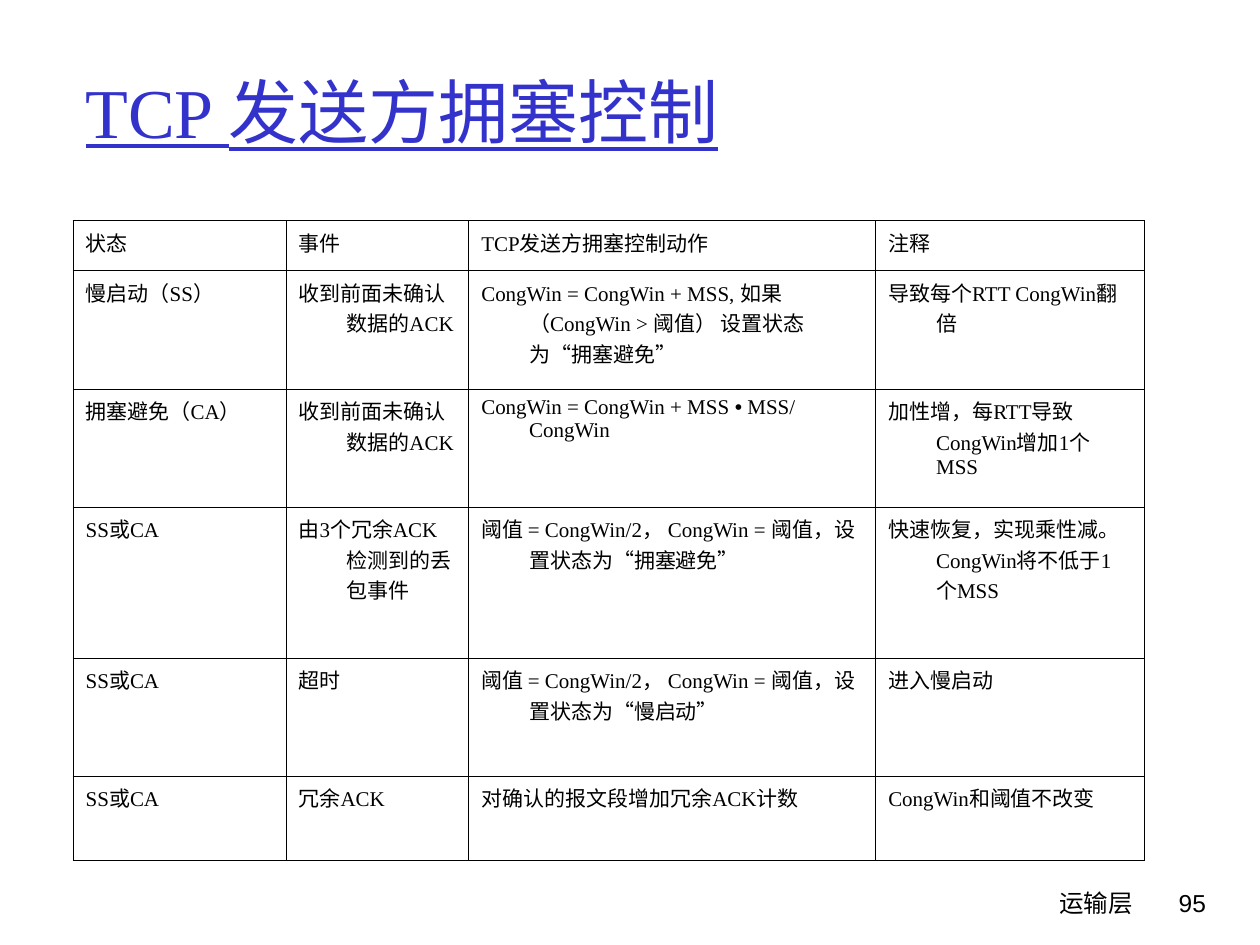
from dataclasses import dataclass

from lxml import etree
from pptx import Presentation
from pptx.dml.color import RGBColor
from pptx.enum.text import MSO_ANCHOR, MSO_AUTO_SIZE, PP_ALIGN
from pptx.oxml.ns import qn
from pptx.util import Inches, Pt

LEFT, RIGHT = PP_ALIGN.LEFT, PP_ALIGN.RIGHT
TOP, MIDDLE = MSO_ANCHOR.TOP, MSO_ANCHOR.MIDDLE
NO_AUTOFIT = MSO_AUTO_SIZE.NONE
TITLE_ONLY = 5


@dataclass(frozen=True)
class Theme:
    ink: str = "000000"
    heading: str = "3333CC"
    serif: str = "Times New Roman"
    sans: str = "Arial"
    footer_face: str = "Comic Neue"
    title_size: int = 40
    footer_size: int = 14
    table_size: int = 12
    border_width: float = 0.45


THEME = Theme()
TITLE_FORMAT = {"name": THEME.serif, "size": Pt(THEME.title_size),
                "underline": True, "bold": False}
TABLE_FORMAT = {"name": THEME.serif, "size": Pt(THEME.table_size), "bold": False}
FOOTER_FORMAT = {"name": THEME.footer_face, "size": Pt(THEME.footer_size)}
NUMBER_FORMAT = {"name": THEME.sans, "size": Pt(THEME.footer_size)}
MARGINS = {"margin_left": Inches(0.1), "margin_right": Inches(0.1),
           "margin_top": Inches(0.05), "margin_bottom": Inches(0.05)}

COLUMN_WIDTHS = [1.69, 1.45, 3.23, 2.13]
ROW_HEIGHTS = [0.4, 0.94, 0.94, 1.2, 0.94, 0.67]
HANGING_INDENT = Inches(0.38)
BULLET = "•"
CONGESTION_ACTIONS = [
    ["状态", "事件", "TCP发送方拥塞控制动作", "注释"],
    ["慢启动（SS）", "收到前面未确认数据的ACK",
     "CongWin = CongWin + MSS, 如果（CongWin > 阈值） 设置状态为“拥塞避免”",
     "导致每个RTT CongWin翻倍"],
    ["拥塞避免（CA）", "收到前面未确认数据的ACK",
     "CongWin = CongWin + MSS • MSS/ CongWin",
     "加性增，每RTT导致CongWin增加1个MSS"],
    ["SS或CA", "由3个冗余ACK检测到的丢包事件",
     "阈值 = CongWin/2， CongWin = 阈值，设置状态为“拥塞避免”",
     "快速恢复，实现乘性减。CongWin将不低于1个MSS"],
    ["SS或CA", "超时",
     "阈值 = CongWin/2， CongWin = 阈值，设置状态为“慢启动”",
     "进入慢启动"],
    ["SS或CA", "冗余ACK", "对确认的报文段增加冗余ACK计数",
     "CongWin和阈值不改变"],
]


def apply(target, values):
    for name, value in values.items():
        setattr(target, name, value)


def add_run(paragraph, text, font_format, color=THEME.ink):
    run = paragraph.add_run()
    run.text = text
    apply(run.font, font_format)
    run.font.color.rgb = RGBColor.from_string(color)


def place_title(slide, left, top, width, height):
    title = slide.shapes.title
    apply(title, {"left": left, "top": top, "width": width, "height": height})
    frame = title.text_frame
    apply(frame, {**MARGINS, "word_wrap": True, "auto_size": NO_AUTOFIT,
                  "vertical_anchor": MIDDLE})
    heading = frame.paragraphs[0]
    heading.alignment = LEFT
    add_run(heading, "TCP 发送方拥塞控制", TITLE_FORMAT, THEME.heading)


def border_cell(cell):
    """Draw the four edges; they must come before the fill."""
    properties = cell._tc.get_or_add_tcPr()
    for position, edge in enumerate(("a:lnL", "a:lnR", "a:lnT", "a:lnB")):
        line = etree.Element(qn(edge), w=str(int(Pt(THEME.border_width))))
        fill = etree.SubElement(line, qn("a:solidFill"))
        etree.SubElement(fill, qn("a:srgbClr"), val=THEME.ink)
        properties.insert(position, line)


def fill_cell(cell, text):
    apply(cell, {**MARGINS, "vertical_anchor": TOP})
    cell.fill.background()
    border_cell(cell)
    paragraph = cell.text_frame.paragraphs[0]
    indent = paragraph._p.get_or_add_pPr()
    indent.set("marL", str(HANGING_INDENT))
    indent.set("indent", str(-HANGING_INDENT))
    before, bullet, after = text.partition(BULLET)
    add_run(paragraph, before, TABLE_FORMAT)
    if bullet:
        add_run(paragraph, bullet, {**TABLE_FORMAT, "name": THEME.sans})
        add_run(paragraph, after, TABLE_FORMAT)


def place_actions_table(slide, left, top, width, height):
    table = slide.shapes.add_table(len(ROW_HEIGHTS), len(COLUMN_WIDTHS),
                                   left, top, width, height).table
    apply(table, {"first_row": False, "horz_banding": False})
    # Share the box out in proportion to the listed widths and heights
    for column, share in zip(table.columns, COLUMN_WIDTHS):
        column.width = int(width * share / sum(COLUMN_WIDTHS))
    for row, share, texts in zip(table.rows, ROW_HEIGHTS, CONGESTION_ACTIONS):
        row.height = int(height * share / sum(ROW_HEIGHTS))
        for cell, text in zip(row.cells, texts):
            fill_cell(cell, text)


def place_footer_text(slide, text, font_format, left, top, width, height):
    frame = slide.shapes.add_textbox(left, top, width, height).text_frame
    apply(frame, {**MARGINS, "word_wrap": True, "vertical_anchor": TOP})
    paragraph = frame.paragraphs[0]
    paragraph.alignment = RIGHT
    add_run(paragraph, text, font_format)


def main():
    deck = Presentation()
    apply(deck, {"slide_width": Inches(10), "slide_height": Inches(7.5)})
    slide = deck.slides.add_slide(deck.slide_layouts[TITLE_ONLY])
    left, width = Inches(0.58), Inches(8.5)

    # Chapter name and page number
    footer_top, footer_height = Inches(7), Inches(0.5)
    place_footer_text(slide, "运输层", FOOTER_FORMAT,
                      Inches(5.92), footer_top, Inches(3.17), footer_height)
    place_footer_text(slide, "95", NUMBER_FORMAT,
                      Inches(8.93), footer_top, Inches(0.74), footer_height)

    # Heading and the sender's actions
    place_title(slide, left, Inches(0.25), width, Inches(1.25))
    place_actions_table(slide, left, Inches(1.75), width, Inches(5.08))
    deck.save("out.pptx")


if __name__ == "__main__":
    main()
